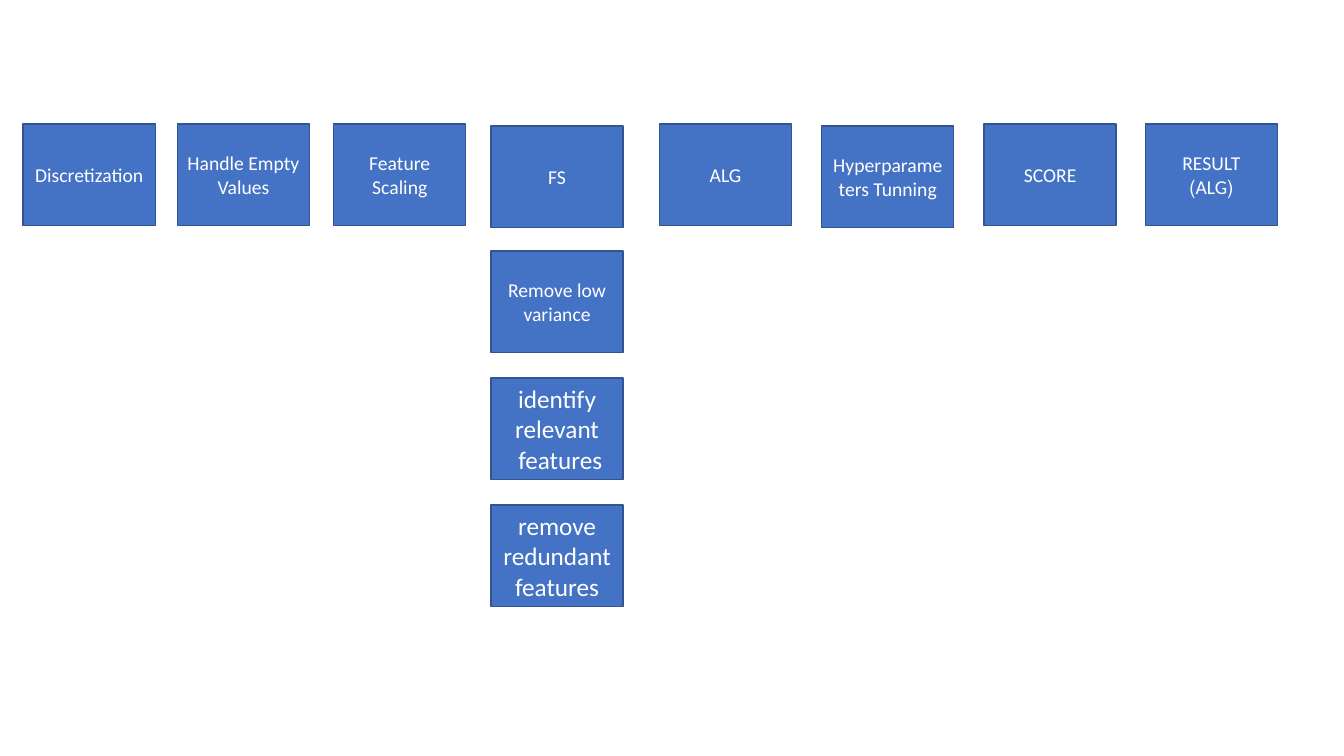
import pptx
import pptx.util
import pptx.dml.color
import pptx.enum.shapes
import pptx.enum.text
from dataclasses import dataclass
from pptx.util import Inches


@dataclass(frozen=True)
class Theme:
    font: str = "Calibri"
    fill: str = "4472C4"
    outline: str = "325491"
    text: str = "FFFFFF"
    stage_size: int = 14
    detail_size: int = 18


theme = Theme()
BOX_WIDTH, BOX_HEIGHT = 1.31, 1.01

presentation = pptx.Presentation()
presentation.slide_width = Inches(13.33)
presentation.slide_height = Inches(7.5)
slide = presentation.slides.add_slide(presentation.slide_layouts[6])


def add_step(label, left, top, size=theme.stage_size):
    step = slide.shapes.add_shape(
        pptx.enum.shapes.MSO_SHAPE.RECTANGLE,
        Inches(left), Inches(top), Inches(BOX_WIDTH), Inches(BOX_HEIGHT))
    step.shadow.inherit = False
    step.fill.solid()
    step.fill.fore_color.rgb = pptx.dml.color.RGBColor.from_string(theme.fill)
    step.line.color.rgb = pptx.dml.color.RGBColor.from_string(theme.outline)
    step.line.width = pptx.util.Pt(1)
    step.text_frame.text = label
    step.text_frame.word_wrap = True
    step.text_frame.vertical_anchor = pptx.enum.text.MSO_ANCHOR.MIDDLE
    for paragraph in step.text_frame.paragraphs:
        paragraph.alignment = pptx.enum.text.PP_ALIGN.CENTER
        paragraph._p.get_or_add_pPr().set("rtl", "1")
        paragraph.font.name = theme.font
        paragraph.font.size = pptx.util.Pt(size)
        paragraph.font.color.rgb = pptx.dml.color.RGBColor.from_string(theme.text)


# Pipeline stages, left to right
ROW_TOP, LOWERED_TOP = 1.23, 1.25
SELECTION_LEFT = 4.87
stages = [
    ("Discretization", 0.23, ROW_TOP),
    ("Handle Empty Values", 1.76, ROW_TOP),
    ("Feature Scaling", 3.31, ROW_TOP),
    ("FS", SELECTION_LEFT, LOWERED_TOP),
    ("ALG", 6.54, ROW_TOP),
    ("Hyperparameters Tunning", 8.15, LOWERED_TOP),
    ("SCORE", 9.76, ROW_TOP),
    ("RESULT\n(ALG)", 11.36, ROW_TOP),
]
for label, left, top in stages:
    add_step(label, left, top)

# Feature selection steps, stacked below FS
STEP_PITCH = 1.26
selection_steps = [
    ("Remove low variance", theme.stage_size),
    ("identify relevant features ", theme.detail_size),
    ("remove redundant features", theme.detail_size),
]
for row, (label, size) in enumerate(selection_steps):
    add_step(label, SELECTION_LEFT, 2.49 + row * STEP_PITCH, size)

presentation.save("out.pptx")
